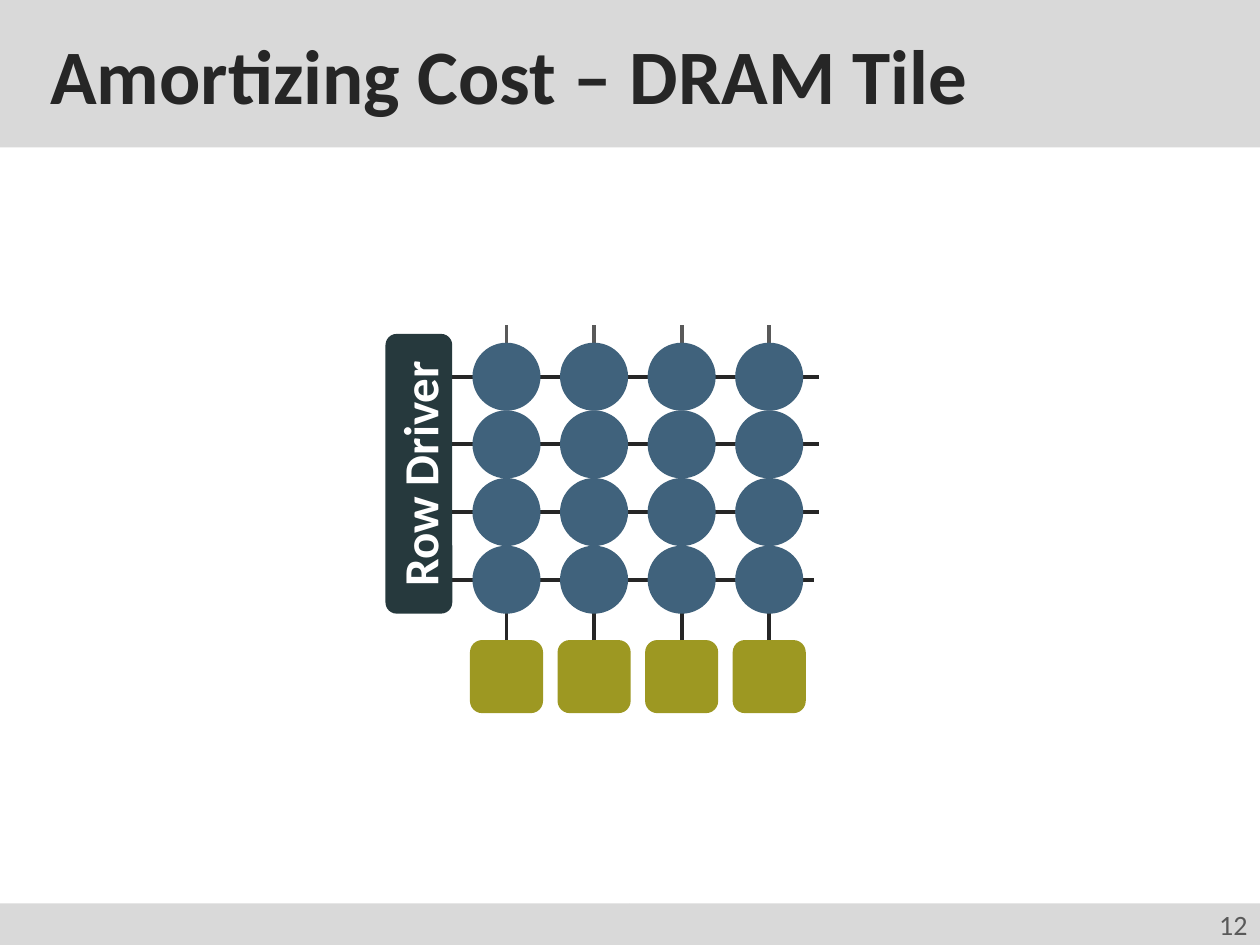
from lxml.etree import SubElement
from pptx import Presentation
from pptx.dml.color import RGBColor
from pptx.enum.shapes import MSO_CONNECTOR, MSO_SHAPE
from pptx.enum.text import MSO_ANCHOR, MSO_AUTO_SIZE, PP_ALIGN
from pptx.oxml.ns import qn
from pptx.util import Inches, Pt

BAR, INK, GREY = "D9D9D9", "262626", "595959"
DRIVER, CELL, AMP = "26393D", "40627C", "9D9822"

prs = Presentation()
prs.slide_width, prs.slide_height = Inches(10), Inches(7.5)
slide = prs.slides.add_slide(prs.slide_layouts[5])
shapes = slide.shapes


def style(part, fill, text="", size=18, color=INK, bold=False, align=PP_ALIGN.LEFT, left=0.1):
    part.shadow.inherit = False
    part.fill.solid()
    part.fill.fore_color.rgb = RGBColor.from_string(fill)
    part.line.fill.background()
    if text:
        frame = part.text_frame
        frame.text = text
        frame.word_wrap = True
        frame.auto_size = MSO_AUTO_SIZE.NONE
        frame.vertical_anchor = MSO_ANCHOR.MIDDLE
        frame.margin_left = Inches(left)
        paragraph = frame.paragraphs[0]
        paragraph.alignment = align
        font = paragraph.runs[0].font
        font.name, font.size, font.bold = "Calibri", Pt(size), bold
        font.color.rgb = RGBColor.from_string(color)
    return part


def wire(x1, y1, x2, y2, color=INK):
    line = shapes.add_connector(MSO_CONNECTOR.STRAIGHT, Inches(x1), Inches(y1), Inches(x2), Inches(y2))
    line.line.color.rgb = RGBColor.from_string(color)
    line.line.width = Pt(2.25)
    SubElement(line._element.spPr, qn("a:effectLst"))
    return line


title = shapes.title
title.left, title.top, title.width, title.height = 0, 0, Inches(10), Inches(1.17)
style(title, BAR, "Amortizing Cost – DRAM Tile", size=44, bold=True, left=0.4)

footer_top, footer_height = Inches(7.17), Inches(0.33)
footer = shapes.add_shape(MSO_SHAPE.RECTANGLE, 0, footer_top, Inches(5), footer_height)
style(footer, BAR)
page_number = shapes.add_shape(MSO_SHAPE.RECTANGLE, Inches(5), footer_top, Inches(5), footer_height)
style(page_number, BAR, "12", size=16, color=GREY, align=PP_ALIGN.RIGHT)

columns = [4.02 + 0.695 * i for i in range(4)]
rows = [2.99 + 0.537 * i for i in range(4)]
cell_size, amp_size, amp_top = 0.54, 0.58, 5.08

for y in rows:
    wire(3.59, y, 6.46 if y == rows[-1] else 6.5, y)

for x in columns:
    amp = shapes.add_shape(MSO_SHAPE.ROUNDED_RECTANGLE, Inches(x - amp_size / 2), Inches(amp_top),
                           Inches(amp_size), Inches(amp_size))
    style(amp, AMP)
    wire(x, amp_top, x, 4.25).begin_connect(amp, 0)
    wire(x, 2.72, x, 2.58, GREY)
    for y in rows:
        cell = shapes.add_shape(MSO_SHAPE.OVAL, Inches(x - cell_size / 2), Inches(y - cell_size / 2),
                                Inches(cell_size), Inches(cell_size))
        style(cell, CELL)

row_driver = shapes.add_shape(MSO_SHAPE.ROUNDED_RECTANGLE, Inches(3.06), Inches(2.65), Inches(0.53), Inches(2.22))
style(row_driver, DRIVER, "Row Driver", size=28, color="FFFFFF", bold=True, align=PP_ALIGN.CENTER)
row_driver.text_frame._txBody.bodyPr.set("vert", "vert270")

prs.save("out.pptx")
